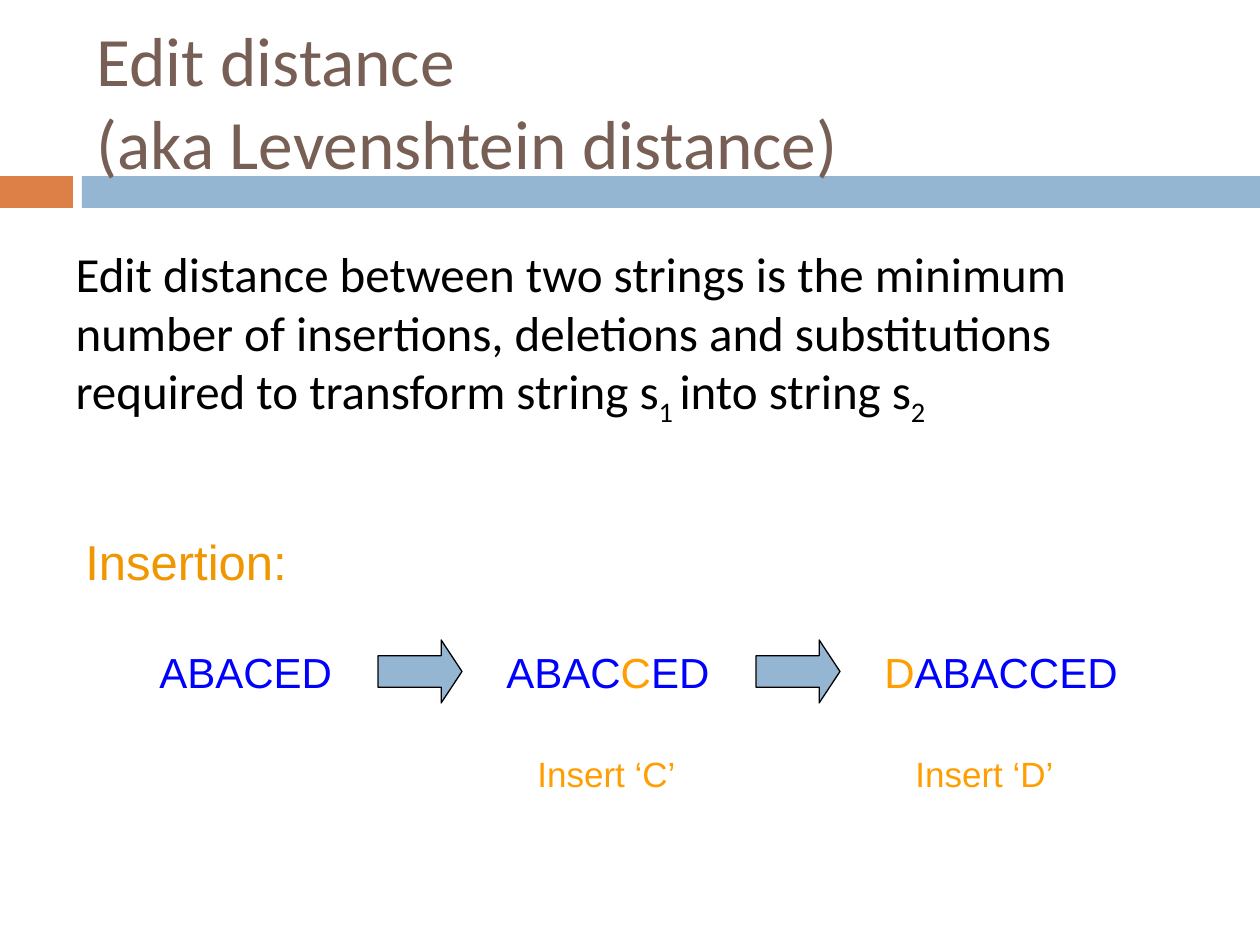
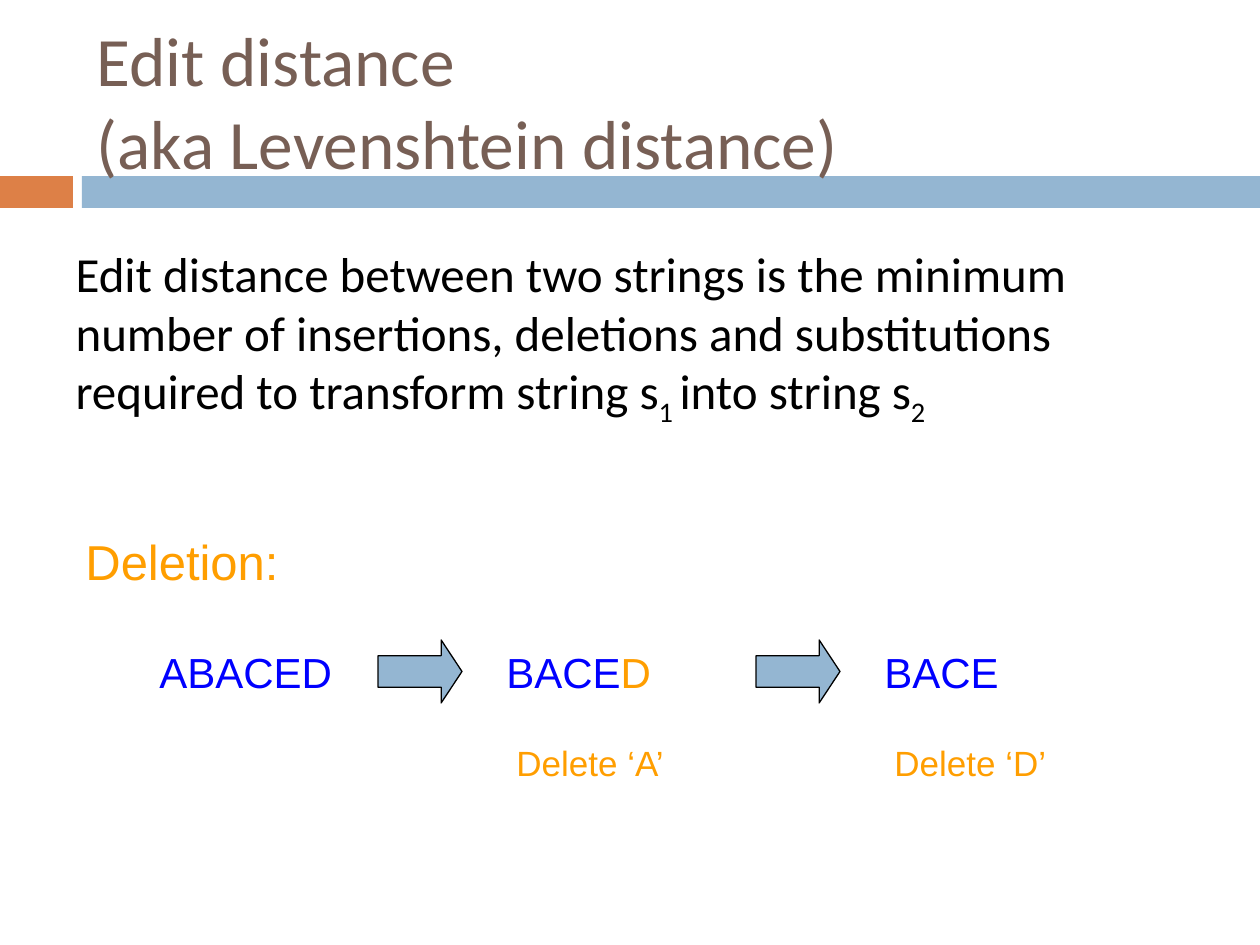
import pptx
import pptx.dml.color
import pptx.enum.shapes
import pptx.enum.text
import pptx.oxml.ns
import pptx.util
from lxml import etree

RGBColor = pptx.dml.color.RGBColor
WHITE = RGBColor(0xFF, 0xFF, 0xFF)
BLACK = RGBColor(0, 0, 0)
BROWN = RGBColor(0x77, 0x5F, 0x55)
RUST = RGBColor(0xDD, 0x80, 0x47)
STEEL = RGBColor(0x94, 0xB6, 0xD2)
BLUE = RGBColor(0, 0, 0xFF)
ORANGE = RGBColor(0xFF, 0x9E, 0x00)
AMBER = RGBColor(0xEF, 0x96, 0x00)

SHAPES = pptx.enum.shapes.MSO_SHAPE
ANCHORS = pptx.enum.text.MSO_ANCHOR
EMU_PER_PX = 914400 / 126
STEP_PITCH = 378

TITLE = "Edit distance\n(aka Levenshtein distance)"
DEFINITION = [
    ("Edit distance between two strings is the minimum number of insertions, "
     "deletions and substitutions required to transform string s", {}),
    ("1 ", {"baseline": -25000}),
    ("into string s", {}),
    ("2", {"baseline": -25000}),
]
CHANGED = {"color": ORANGE}
OPERATIONS = [
    {
        "heading": "Insertion:",
        "heading_color": AMBER,
        "words": [
            [("ABACED", {})],
            [("ABAC", {}), ("C", CHANGED), ("ED", {})],
            [("D", CHANGED), ("ABACCED", {})],
        ],
        "notes": ["Insert ‘C’", "Insert ‘D’"],
        "notes_at": (525, 746),
    },
    {
        "heading": "Deletion:",
        "heading_color": ORANGE,
        "words": [
            [("ABACED", {})],
            [("BACE", {}), ("D", CHANGED)],
            [("BACE", {})],
        ],
        "notes": ["Delete ‘A’", "Delete ‘D’"],
        "notes_at": (504, 735),
    },
]


def px(*lengths):
    return [pptx.util.Emu(round(length * EMU_PER_PX)) for length in lengths]


def write(frame, text, size=24, font="Arial", color=BLACK, anchor=ANCHORS.TOP):
    frame.word_wrap = True
    frame.auto_size = pptx.enum.text.MSO_AUTO_SIZE.NONE
    frame.vertical_anchor = anchor
    paragraph = frame.paragraphs[0]
    properties = paragraph._p.get_or_add_pPr()
    properties.set("marL", "0")
    properties.set("indent", "0")
    etree.SubElement(properties, pptx.oxml.ns.qn("a:buNone"))
    paragraph.alignment = pptx.enum.text.PP_ALIGN.LEFT
    paragraph.space_before = pptx.util.Pt(0)
    pieces = [(text, {})] if isinstance(text, str) else text
    for content, changes in pieces:
        for number, line in enumerate(content.split("\n")):
            if number:
                paragraph.add_line_break()
            run = paragraph.add_run()
            run.text = line
            run.font.size = pptx.util.Pt(size)
            run.font.name = font
            run.font.color.rgb = changes.get("color", color)
            if "baseline" in changes:
                run.font._element.set("baseline", str(changes["baseline"]))


class Deck:
    def __init__(self):
        self.presentation = pptx.Presentation()
        self.presentation.slide_width, self.presentation.slide_height = px(1260, 945)
        self.layout = self.presentation.slide_layouts[1]
        for placeholder in list(self.layout.placeholders)[2:]:
            placeholder.element.getparent().remove(placeholder.element)
        self.slide = None

    def new_slide(self):
        self.slide = self.presentation.slides.add_slide(self.layout)
        self.slide.background.fill.solid()
        self.slide.background.fill.fore_color.rgb = WHITE

    def shape(self, kind, left, top, width, height, fill, line=None):
        drawn = self.slide.shapes.add_shape(kind, *px(left, top, width, height))
        drawn.shadow.inherit = False
        drawn.fill.solid()
        drawn.fill.fore_color.rgb = fill
        if line is None:
            drawn.line.fill.background()
        else:
            drawn.line.color.rgb = line
            drawn.line.width = pptx.util.Pt(0.75)
        return drawn

    def layout_band(self, left, width, fill):
        band = self.shape(SHAPES.RECTANGLE, left, 176, width, 32, fill)
        self.layout.shapes.element.insert(2, band.element)

    def arrow(self, left, top):
        arrow = self.shape(SHAPES.RIGHT_ARROW, left, top, 84, 63, STEEL, BLACK)
        arrow.adjustments[0] = 0.5
        arrow.adjustments[1] = 0.33

    def placeholder(self, index, left, top, width, height, text, **style):
        holder = self.slide.placeholders[index]
        holder.left, holder.top, holder.width, holder.height = px(left, top, width, height)
        write(holder.text_frame, text, font="Calibri", **style)

    def text(self, left, top, width, height, text, **style):
        box = self.slide.shapes.add_textbox(*px(left, top, width, height))
        write(box.text_frame, text, **style)


def add_operation(deck, operation):
    deck.placeholder(0, 84, 32, 1124, 136, TITLE, size=39.6, color=BROWN,
                     anchor=ANCHORS.MIDDLE)
    deck.placeholder(1, 63, 237, 1134, 289, DEFINITION, size=28)
    deck.text(73, 525, 231, 72, operation["heading"], size=28,
              color=operation["heading_color"])
    for word, left, width in zip(operation["words"], (147, 494, 872), (199, 242, 284)):
        deck.text(left, 640, width, 63, word, color=BLUE)
    notes_left, notes_top = operation["notes_at"]
    for step, note in enumerate(operation["notes"]):
        shift = step * STEP_PITCH
        deck.arrow(378 + shift, 640)
        deck.text(notes_left + shift, notes_top, 179, 97, note, size=20, color=ORANGE)


def main():
    deck = Deck()
    for number, operation in enumerate(OPERATIONS):
        deck.new_slide()
        if number == 0:
            deck.layout_band(0, 73, RUST)
            deck.layout_band(82, 1178, STEEL)
        add_operation(deck, operation)
    deck.presentation.save("out.pptx")


if __name__ == "__main__":
    main()
